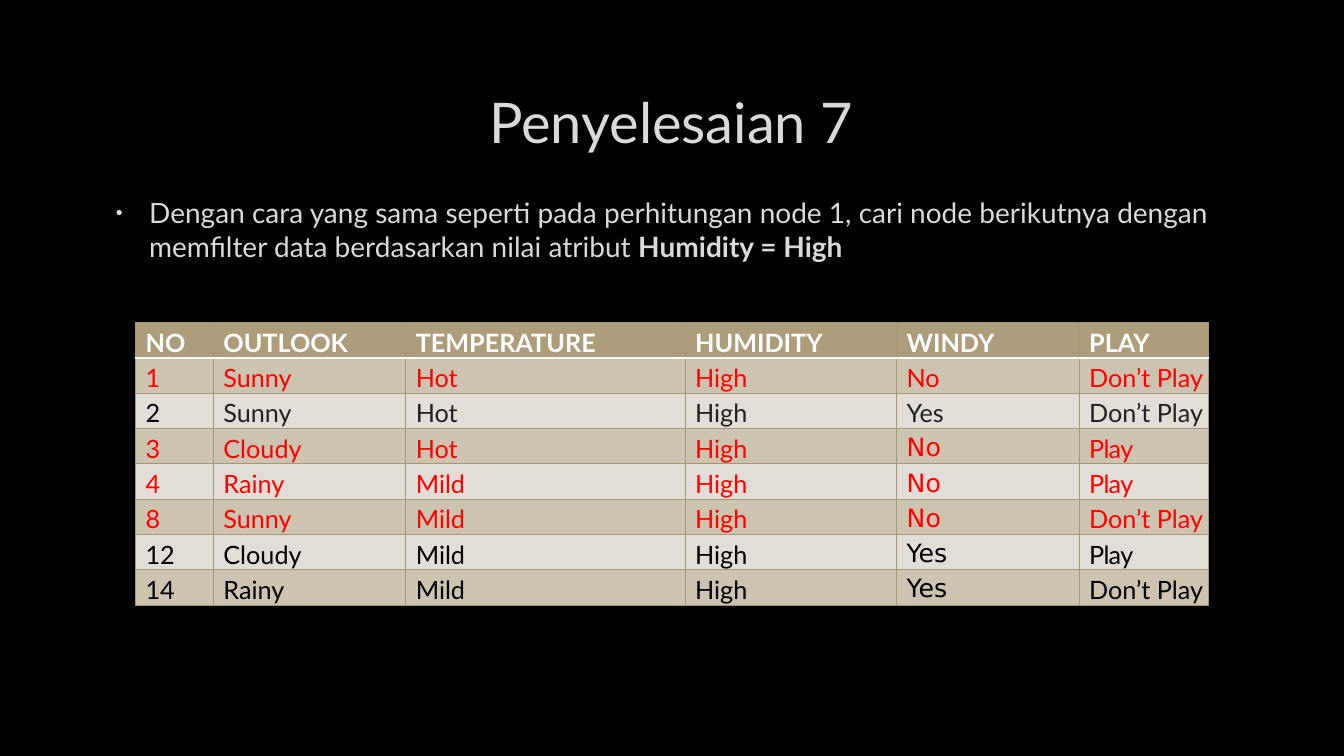
from dataclasses import dataclass

import pptx
import pptx.dml.color
import pptx.enum.text
import pptx.oxml
import pptx.oxml.ns
import pptx.util
from pptx.util import Cm


@dataclass(frozen=True)
class Theme:
    background: str = "000000"
    light_text: str = "DADADA"
    header_text: str = "FFFFFF"
    match_text: str = "FF0000"
    plain_text: str = "000000"
    soft_text: str = "212123"
    header_fill: str = "AD9D7B"
    odd_fill: str = "CDC3B1"
    even_fill: str = "E2DDD6"
    grid: str = "A59675"
    font: str = "Lato"
    fallback_font: str = "DejaVu Sans"
    title_size: float = 40
    body_size: float = 20
    table_size: float = 18


@dataclass(frozen=True)
class Observation:
    no: str
    outlook: str
    temperature: str
    humidity: str
    windy: str
    play: str
    color: str
    windy_font: str = Theme.fallback_font

    def values(self) -> tuple[str, ...]:
        return (self.no, self.outlook, self.temperature,
                self.humidity, self.windy, self.play)


@dataclass(frozen=True)
class Border:
    color: str
    width: float


THEME = Theme()
GRID = Border(THEME.grid, 0.75)
HEADER_RULE = Border(THEME.header_text, 1.25)
HEADINGS = ("NO", "OUTLOOK", "TEMPERATURE", "HUMIDITY", "WINDY", "PLAY")
WINDY_COLUMN = HEADINGS.index("WINDY")
COLUMN_WIDTHS = (1.96, 4.85, 7.04, 5.33, 4.6, 3.25)
ROW_HEIGHT = 0.89
OBSERVATIONS = (
    Observation("1", "Sunny", "Hot", "High", "No", "Don’t Play", THEME.match_text, THEME.font),
    Observation("2", "Sunny", "Hot", "High", "Yes", "Don’t Play", THEME.soft_text, THEME.font),
    Observation("3", "Cloudy", "Hot", "High", "No", "Play", THEME.match_text),
    Observation("4", "Rainy", "Mild", "High", "No", "Play", THEME.match_text),
    Observation("8", "Sunny", "Mild", "High", "No", "Don’t Play", THEME.match_text),
    Observation("12", "Cloudy", "Mild", "High", "Yes", "Play", THEME.plain_text),
    Observation("14", "Rainy", "Mild", "High", "Yes", "Don’t Play", THEME.plain_text),
)


def rgb(color: str) -> pptx.dml.color.RGBColor:
    return pptx.dml.color.RGBColor.from_string(color)


def add_text(paragraph, text: str, *, size: float, color: str,
             font: str = THEME.font, bold: bool = False, spacing: float = 0) -> None:
    run = paragraph.add_run()
    run.text = text
    run.font.name = font
    run.font.size = pptx.util.Pt(size)
    run.font.bold = bold
    run.font.color.rgb = rgb(color)
    if spacing:
        run.font._element.set("spc", str(round(spacing * 100)))


def add_bullet(paragraph, color: str) -> None:
    properties = paragraph._p.get_or_add_pPr()
    properties.set("marL", str(Cm(0.97)))
    properties.set("indent", str(-Cm(0.84)))
    namespace = pptx.oxml.ns.nsdecls("a")
    for xml in (f'<a:buClr {namespace}><a:srgbClr val="{color}"/></a:buClr>',
                f'<a:buSzPct {namespace} val="70000"/>',
                f'<a:buFont {namespace} typeface="Arial"/>',
                f'<a:buChar {namespace} char="•"/>'):
        properties.append(pptx.oxml.parse_xml(xml))


def set_borders(cell, **borders: Border) -> None:
    properties = cell._tc.get_or_add_tcPr()
    for side in "LRTB":
        border = borders.get(side, GRID)
        properties.append(pptx.oxml.parse_xml(
            f'<a:ln{side} {pptx.oxml.ns.nsdecls("a")} w="{pptx.util.Pt(border.width)}">'
            f'<a:solidFill><a:srgbClr val="{border.color}"/></a:solidFill></a:ln{side}>'))


def fill_cell(cell, text: str, *, fill: str, borders: dict[str, Border], **text_format) -> None:
    cell.margin_left = Cm(0.25)
    cell.margin_top = Cm(0.12)
    cell.margin_right = cell.margin_bottom = 0
    set_borders(cell, **borders)
    cell.fill.solid()
    cell.fill.fore_color.rgb = rgb(fill)
    add_text(cell.text_frame.paragraphs[0], text, size=THEME.table_size, **text_format)


def add_title(slide) -> None:
    title = slide.shapes.title
    title.left, title.top, title.width, title.height = Cm(2.54), Cm(1.7), Cm(28.75), Cm(2.69)
    frame = title.text_frame
    frame.auto_size = pptx.enum.text.MSO_AUTO_SIZE.NONE
    frame.vertical_anchor = pptx.enum.text.MSO_ANCHOR.MIDDLE
    frame.paragraphs[0].alignment = pptx.enum.text.PP_ALIGN.CENTER
    add_text(frame.paragraphs[0], "Penyelesaian 7",
             size=THEME.title_size, color=THEME.light_text)


def add_instruction(slide) -> None:
    instruction = slide.shapes.add_textbox(Cm(2.54), Cm(4.8), Cm(28.75), Cm(11.28))
    instruction.text_frame.word_wrap = True
    paragraph = instruction.text_frame.paragraphs[0]
    add_bullet(paragraph, THEME.light_text)
    add_text(paragraph, "Dengan cara yang sama seperti pada perhitungan node 1, cari node "
             "berikutnya dengan memfilter data berdasarkan nilai atribut ",
             size=THEME.body_size, color=THEME.light_text)
    add_text(paragraph, "Humidity = High",
             size=THEME.body_size, color=THEME.light_text, bold=True)


def add_observations(slide) -> None:
    row_count = len(OBSERVATIONS) + 1
    table = slide.shapes.add_table(row_count, len(HEADINGS), Cm(3.42), Cm(8.13),
                                   Cm(sum(COLUMN_WIDTHS)), Cm(ROW_HEIGHT * row_count)).table
    table.horz_banding = False
    for column, width in zip(table.columns, COLUMN_WIDTHS):
        column.width = Cm(width)
    for row in table.rows:
        row.height = Cm(ROW_HEIGHT)

    # Header row
    for column, heading in enumerate(HEADINGS):
        fill_cell(table.cell(0, column), heading, fill=THEME.header_fill,
                  borders={"B": HEADER_RULE}, color=THEME.header_text, bold=True)

    # Data rows
    for row, observation in enumerate(OBSERVATIONS, start=1):
        for column, value in enumerate(observation.values()):
            is_soft_number = column == 0 and observation.color == THEME.soft_text
            fill_cell(table.cell(row, column), value,
                      fill=THEME.odd_fill if row % 2 else THEME.even_fill,
                      borders={"T": HEADER_RULE} if row == 1 else {},
                      color=THEME.plain_text if is_soft_number else observation.color,
                      font=observation.windy_font if column == WINDY_COLUMN else THEME.font,
                      spacing=-0.5 if value == "Play" else 0)


def main() -> None:
    presentation = pptx.Presentation()
    presentation.slide_width, presentation.slide_height = Cm(33.87), Cm(19.05)
    slide = presentation.slides.add_slide(presentation.slide_layouts.get_by_name("Title Only"))
    slide.background.fill.solid()
    slide.background.fill.fore_color.rgb = rgb(THEME.background)
    add_title(slide)
    add_instruction(slide)
    add_observations(slide)
    presentation.save("out.pptx")


if __name__ == "__main__":
    main()
